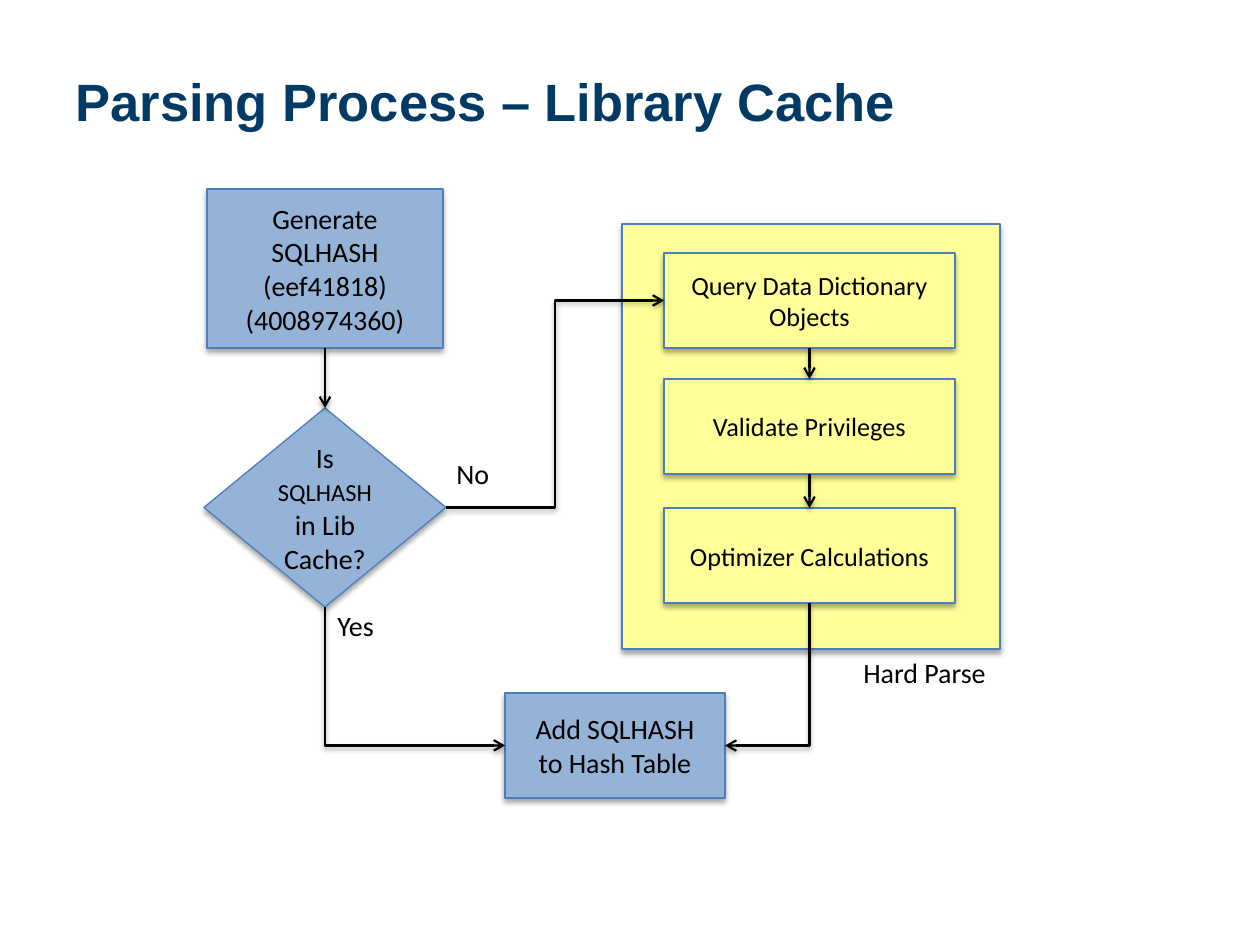
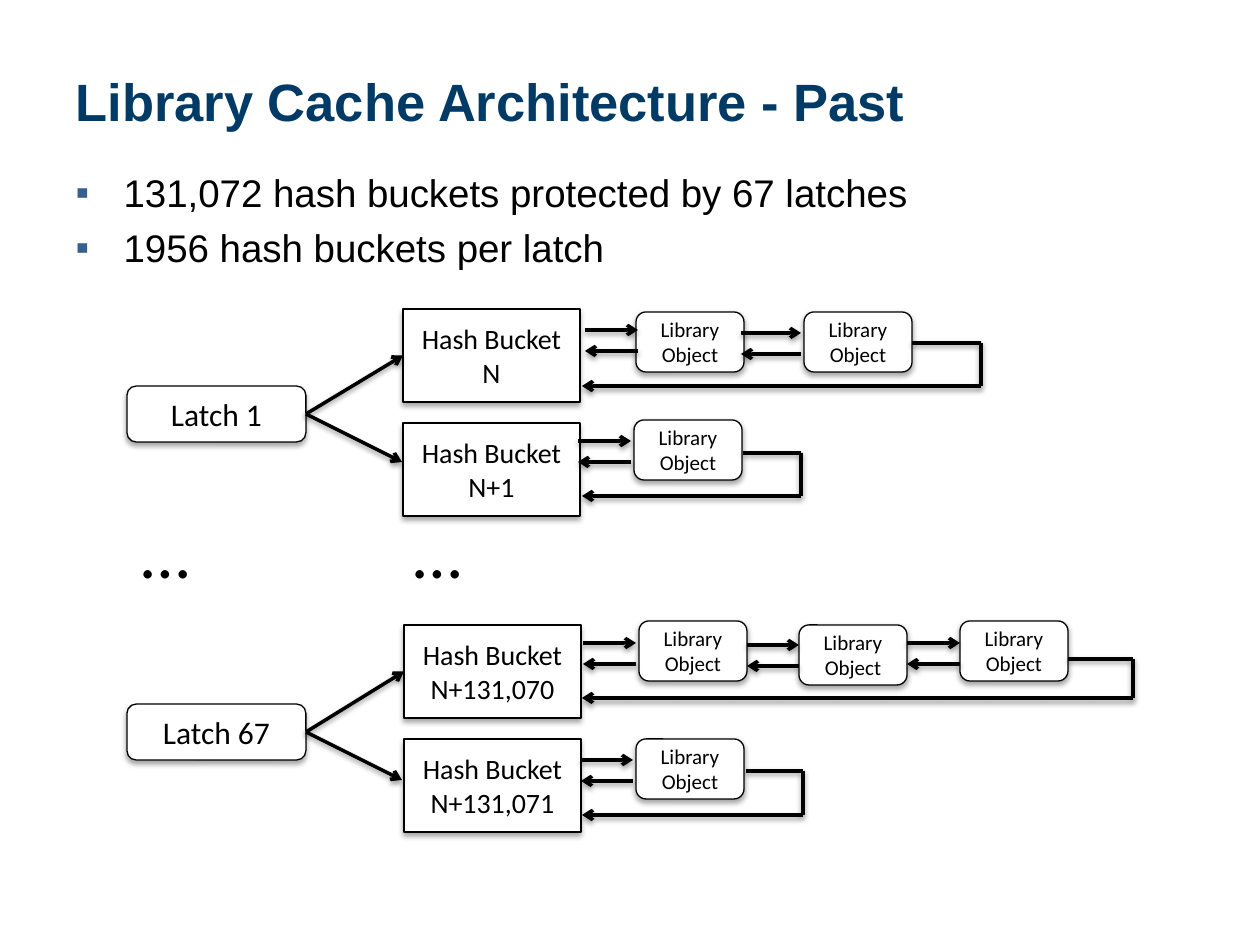
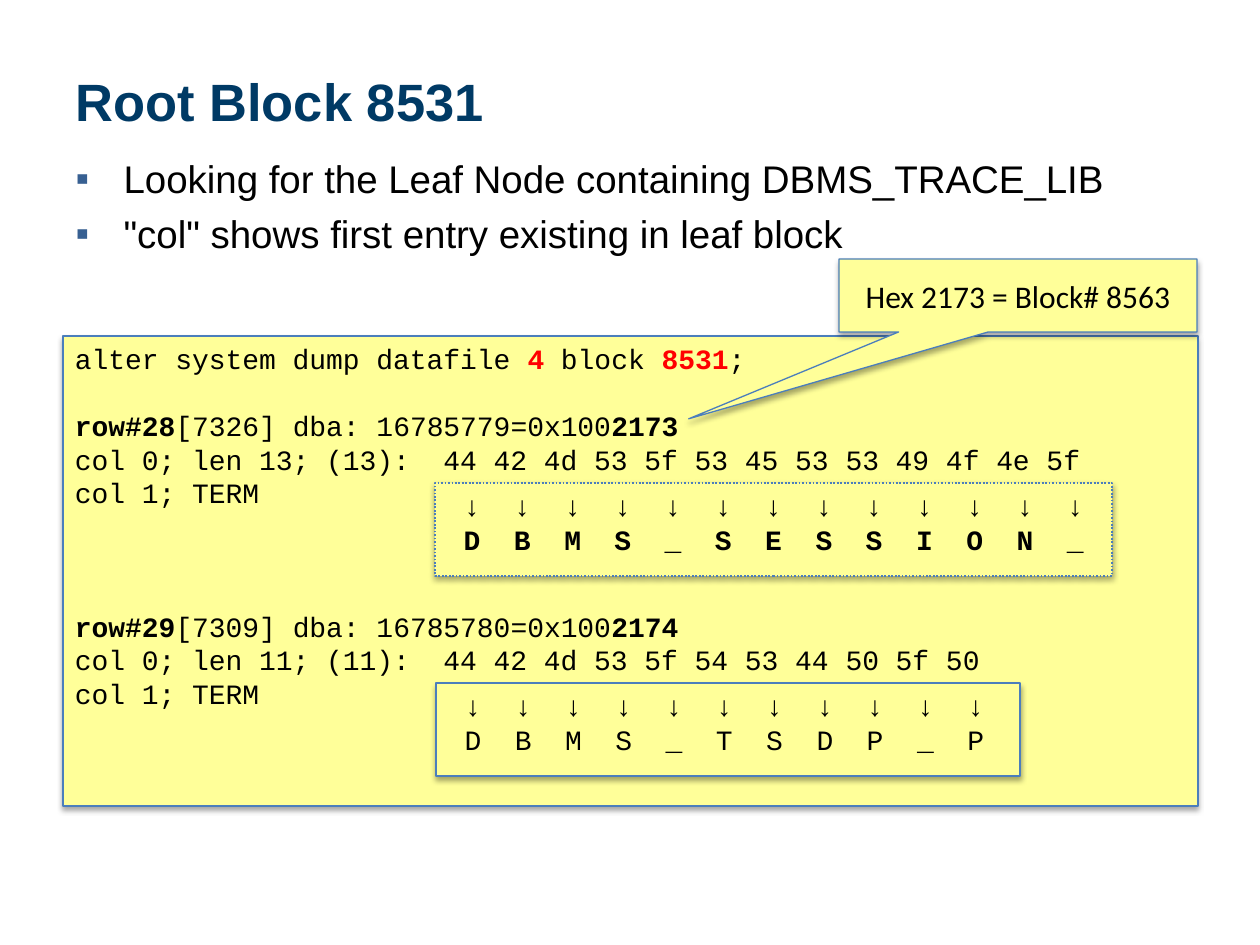
from lxml import etree
from pptx import Presentation
from pptx import util as u
from pptx.dml.color import RGBColor
from pptx.enum import dml, shapes, text
from pptx.oxml.ns import qn

PX = 914400 / 126
NAVY, BULLET, EDGE = "003A65", "376092", "4B7EBC"
BLUE, YELLOW, WHITE, BLACK, RED = "95B3D7", "FFFF99", "FFFFFF", "000000", "FF0000"
KIND = shapes.MSO_SHAPE
LINK = shapes.MSO_CONNECTOR
ALIGN = text.PP_ALIGN
ANCHOR = text.MSO_ANCHOR
TITLE_ONLY, TITLE_AND_BODY = 5, 1
TOP, LEFT, BOTTOM, RIGHT = range(4)
BOLD, HOT = {"bold": True}, {"bold": True, "color": RED}
TITLE_BOX = (63, 38, 1135, 125)
CODE_LEADING = 19.1
CODE_STYLE = {"size": 16, "font": "Courier New", "align": ALIGN.LEFT,
              "anchor": ANCHOR.TOP, "leading": CODE_LEADING}


def px(length):
    """Turn pixels into EMU."""
    return u.Emu(round(length * PX))


def rgb(value):
    """Turn a hex string into a colour."""
    return RGBColor.from_string(value)


def assign(target, values):
    """Set every named attribute of the target."""
    for name, value in values.items():
        setattr(target, name, value)


def place(shape, box):
    """Move a shape to a box of left, top, width and height."""
    assign(shape, dict(zip(("left", "top", "width", "height"), map(px, box))))


def add_element(parent, tag, **attributes):
    """Append a drawing element to the parent."""
    values = {name: str(value) for name, value in attributes.items()}
    return etree.SubElement(parent, qn(tag), values)


def add_shadow(effects, opacity, distance):
    """Put a soft downward shadow into an effect list."""
    shadow = add_element(effects, "a:outerShdw", blurRad=39370, dist=distance,
                         dir=5400000, rotWithShape=0)
    shade = add_element(shadow, "a:srgbClr", val=BLACK)
    add_element(shade, "a:alpha", val=opacity * 1000)


def style_font(font, size, name, color=BLACK, bold=False):
    """Format one font."""
    assign(font, {"size": u.Pt(size), "name": name, "bold": bold})
    font.color.rgb = rgb(color)


def write(frame, lines, size=16, font="Calibri", align=ALIGN.CENTER,
          anchor=ANCHOR.MIDDLE, leading=None, gaps=None, **look):
    """Fill a frame with lines, each a string or a list of (words, look) runs."""
    frame.vertical_anchor = anchor
    for row, line in enumerate(lines):
        paragraph = frame.paragraphs[0] if row == 0 else frame.add_paragraph()
        paragraph.alignment = align
        if leading:
            paragraph.line_spacing = u.Pt(leading)
        if gaps and row in gaps:
            paragraph.space_before = u.Pt(gaps[row])
        for words, own in [(line, {})] if isinstance(line, str) else line:
            run = paragraph.add_run()
            run.text = words
            style_font(run.font, **{"size": size, "name": font, **look, **own})


def add_node(slide, kind, box, lines=(), fill=WHITE, edge=EDGE, inset=(12, 6), **style):
    """Add a filled, outlined, shadowed shape with text."""
    node = slide.shapes.add_shape(kind, *map(px, box))
    node.fill.solid()
    node.fill.fore_color.rgb = rgb(fill)
    node.line.color.rgb = rgb(edge)
    node.line.width = u.Pt(0.75)
    node.shadow.inherit = False
    add_shadow(node._element.spPr.find(qn("a:effectLst")), 35, 22860)
    across, down = map(px, inset)
    assign(node.text_frame, {"word_wrap": True, "margin_left": across, "margin_right": across,
                             "margin_top": down, "margin_bottom": down})
    write(node.text_frame, lines, **style)
    return node


def add_label(slide, box, words, wrap=False, **style):
    """Add plain text without fill or outline."""
    label = slide.shapes.add_textbox(*map(px, box))
    label.text_frame.word_wrap = wrap
    write(label.text_frame, [words], **{"align": ALIGN.LEFT, "anchor": ANCHOR.TOP, **style})


def add_link(slide, start, end, kind=LINK.STRAIGHT, width=2, arrow=True):
    """Add a black line; an end is a point or a (shape, side) pair."""
    joins = [not isinstance(place_, int) for place_ in (start[0], end[0])]
    points = [(0, 0) if joined else tuple(map(px, spot))
              for joined, spot in zip(joins, (start, end))]
    link = slide.shapes.add_connector(kind, *points[0], *points[1])
    if joins[0]:
        link.begin_connect(*start)
    if joins[1]:
        link.end_connect(*end)
    link.line.color.rgb = rgb(BLACK)
    link.line.width = u.Pt(width)
    if arrow:
        add_element(link.line._get_or_add_ln(), "a:tailEnd", type="arrow")
    add_shadow(add_element(link._element.spPr, "a:effectLst"), 38, 20000)
    return link


def add_corner(slide, start, end):
    """Add an arrow that runs down and then sideways."""
    link = add_link(slide, start, end, LINK.ELBOW, 1.25)
    rightward = link.begin_x < link.end_x
    left, top, width, height = link.left, link.top, link.width, link.height
    assign(link, {"left": left + (width - height) // 2, "top": top + (height - width) // 2,
                  "width": height, "height": width})
    properties = link._element.spPr
    properties.find(qn("a:prstGeom")).set("prst", "bentConnector2")
    frame = properties.find(qn("a:xfrm"))
    frame.set("rot", str((270 if rightward else 90) * 60000))
    frame.set("flipH", str(int(rightward)))


def add_slide(deck, layout, heading):
    """Add a slide with its heading."""
    slide = deck.slides.add_slide(deck.slide_layouts[layout])
    place(slide.shapes.title, TITLE_BOX)
    slide.shapes.title.text_frame.auto_size = text.MSO_AUTO_SIZE.NONE
    write(slide.shapes.title.text_frame, [heading], size=30, font="Arial",
          align=ALIGN.LEFT, color=NAVY, bold=True)
    return slide


def fill_body(slide, box, points):
    """Fill the body placeholder with square-bulleted points."""
    body = slide.placeholders[1]
    place(body, box)
    body.text_frame.auto_size = text.MSO_AUTO_SIZE.NONE
    write(body.text_frame, points, size=22, font="Arial", align=ALIGN.LEFT, anchor=ANCHOR.TOP)
    for row, paragraph in enumerate(body.text_frame.paragraphs):
        properties = paragraph._p.get_or_add_pPr()
        properties.set("marL", str(px(48)))
        properties.set("indent", str(px(-48)))
        add_element(add_element(properties, "a:buClr"), "a:srgbClr", val=BULLET)
        add_element(properties, "a:buChar", char="▪")
        paragraph.space_before = u.Pt(5 if row else 0)


def add_chain(slide, bucket_spot, name, objects, pairs, loop):
    """Add a hash bucket with its linked library objects and return the bucket."""
    bucket = add_node(slide, KIND.RECTANGLE, (*bucket_spot, 177, 93),
                      ["Hash Bucket", name], edge=BLACK)
    for spot in objects:
        add_node(slide, KIND.ROUNDED_RECTANGLE, (*spot, 108, 60), ["Library Object"],
                 edge=BLACK, size=12)
    for near, far, top in pairs:
        add_link(slide, (near, top), (far, top))
        add_link(slide, (far, top + 21), (near, top + 21))
    exit_x, exit_y, turn_x, return_y = loop
    add_link(slide, (exit_x, exit_y), (turn_x, exit_y), arrow=False)
    add_link(slide, (turn_x, exit_y), (turn_x, return_y), arrow=False)
    add_link(slide, (turn_x, return_y), (582, return_y))
    return bucket


def add_latch(slide, name, top, first_bucket):
    """Add a latch pointing at its two buckets."""
    latch = add_node(slide, KIND.ROUNDED_RECTANGLE, (127, top, 179, 56), [name],
                     edge=BLACK, size=18)
    add_link(slide, (latch, RIGHT), (first_bucket, LEFT))
    add_link(slide, (latch, RIGHT), (402, top + 76))


def build_parsing(deck):
    """Build the flowchart of the parsing process."""
    slide = add_slide(deck, TITLE_ONLY, "Parsing Process – Library Cache")
    blue = {"fill": BLUE, "inset": (12, 12)}
    generate = add_node(slide, KIND.RECTANGLE, (207, 189, 236, 159),
                        ["Generate SQLHASH", "(eef41818)", "(4008974360)"], **blue)
    cached = add_node(slide, KIND.FLOWCHART_DECISION, (204, 408, 242, 199),
                      [[("Is ", {}), ("SQLHASH", {"size": 14}), (" in Lib Cache?", {})]], **blue)
    add_hash = add_node(slide, KIND.RECTANGLE, (505, 693, 220, 105),
                        ["Add SQLHASH", "to Hash Table"], **blue)
    add_node(slide, KIND.RECTANGLE, (622, 224, 378, 425), fill=YELLOW)
    query, validate, optimize = [
        add_node(slide, KIND.RECTANGLE, (664, top, 291, 95), [step],
                 fill=YELLOW, size=15, inset=(12, 12))
        for top, step in ((253, "Query Data Dictionary Objects"), (379, "Validate Privileges"),
                          (508, "Optimizer Calculations"))]
    for label, box in (("No", (444, 450, 59, 47)), ("Yes", (325, 602, 62, 47)),
                       ("Hard Parse", (851, 649, 150, 47))):
        add_label(slide, box, label)
    for upper, lower in ((generate, cached), (query, validate), (validate, optimize)):
        add_link(slide, (upper, BOTTOM), (lower, TOP), width=1.25)
    add_corner(slide, (cached, BOTTOM), (add_hash, LEFT))
    add_corner(slide, (optimize, BOTTOM), (add_hash, RIGHT))
    add_link(slide, (cached, RIGHT), (query, LEFT), LINK.ELBOW, 1.25)


def build_architecture(deck):
    """Build the diagram of latches, hash buckets and library objects."""
    slide = add_slide(deck, TITLE_AND_BODY, "Library Cache Architecture - Past")
    fill_body(slide, (63, 163, 1135, 709),
              ["131,072 hash buckets protected by 67 latches", "1956 hash buckets per latch"])
    first = add_chain(slide, (403, 309), "N", [(636, 312), (804, 312)],
                      [(585, 638, 330), (741, 801, 333)], (912, 343, 981, 386))
    add_chain(slide, (403, 423), "N+1", [(634, 420)],
              [(578, 631, 441)], (743, 453, 801, 496))
    last = add_chain(slide, (404, 625), "N+131,070", [(639, 621), (799, 625), (960, 621)],
                     [(583, 636, 643), (747, 799, 645), (907, 960, 643)], (1068, 659, 1133, 698))
    add_chain(slide, (404, 739), "N+131,071", [(636, 739)],
              [(581, 633, 760)], (746, 771, 803, 815))
    add_latch(slide, "Latch 1", 386, first)
    add_latch(slide, "Latch 67", 704, last)
    for left in (129, 401):
        add_label(slide, (left, 546, 176, 53), "…", wrap=True, size=40, anchor=ANCHOR.BOTTOM)


def build_root_block(deck):
    """Build the block dump with its decoded column values."""
    slide = add_slide(deck, TITLE_AND_BODY, "Root Block 8531")
    fill_body(slide, (63, 149, 1092, 163),
              ["Looking for the Leaf Node containing DBMS_TRACE_LIB",
               "\"col\" shows first entry existing in leaf block"])
    dump = [
        [("alter system dump datafile ", {}), ("4", HOT), (" block ", {}), ("8531", HOT), (";", {})],
        [("row#28", BOLD), ("[7326] dba: 16785779=0x100", {}), ("2173", BOLD)],
        "col 0; len 13; (13):  44 42 4d 53 5f 53 45 53 53 49 4f 4e 5f",
        "col 1; TERM",
        [("row#29", BOLD), ("[7309] dba: 16785780=0x100", {}), ("2174", BOLD)],
        "col 0; len 11; (11):  44 42 4d 53 5f 54 53 44 50 5f 50",
        "col 1; TERM",
    ]
    add_node(slide, KIND.RECTANGLE, (63, 336, 1135, 470), dump, fill=YELLOW,
             gaps={1: CODE_LEADING, 4: 3 * CODE_LEADING}, **CODE_STYLE)
    decoded = {}
    for word, box, look in (("DBMS_TSDP_P", (436, 683, 584, 93), {}),
                            ("DBMS_SESSION_", (435, 483, 677, 93), BOLD)):
        arrows = " " + "  ".join("↓" * len(word))
        letters = " " + "  ".join(word)
        decoded[word] = add_node(slide, KIND.RECTANGLE, box, [arrows, [(letters, look)]],
                                 fill=YELLOW, **CODE_STYLE)
    assign(decoded["DBMS_SESSION_"].line,
           {"width": u.Pt(1), "dash_style": dml.MSO_LINE.ROUND_DOT})
    callout = add_node(slide, KIND.RECTANGULAR_CALLOUT, (839, 259, 358, 73),
                       ["Hex 2173 = Block# 8563"], fill=YELLOW, size=18)
    callout.adjustments[0], callout.adjustments[1] = -0.92, 1.69


def main():
    """Build and save the deck."""
    deck = Presentation()
    assign(deck, {"slide_width": px(1260), "slide_height": px(945)})
    build_parsing(deck)
    build_architecture(deck)
    build_root_block(deck)
    deck.save("out.pptx")


if __name__ == "__main__":
    main()
